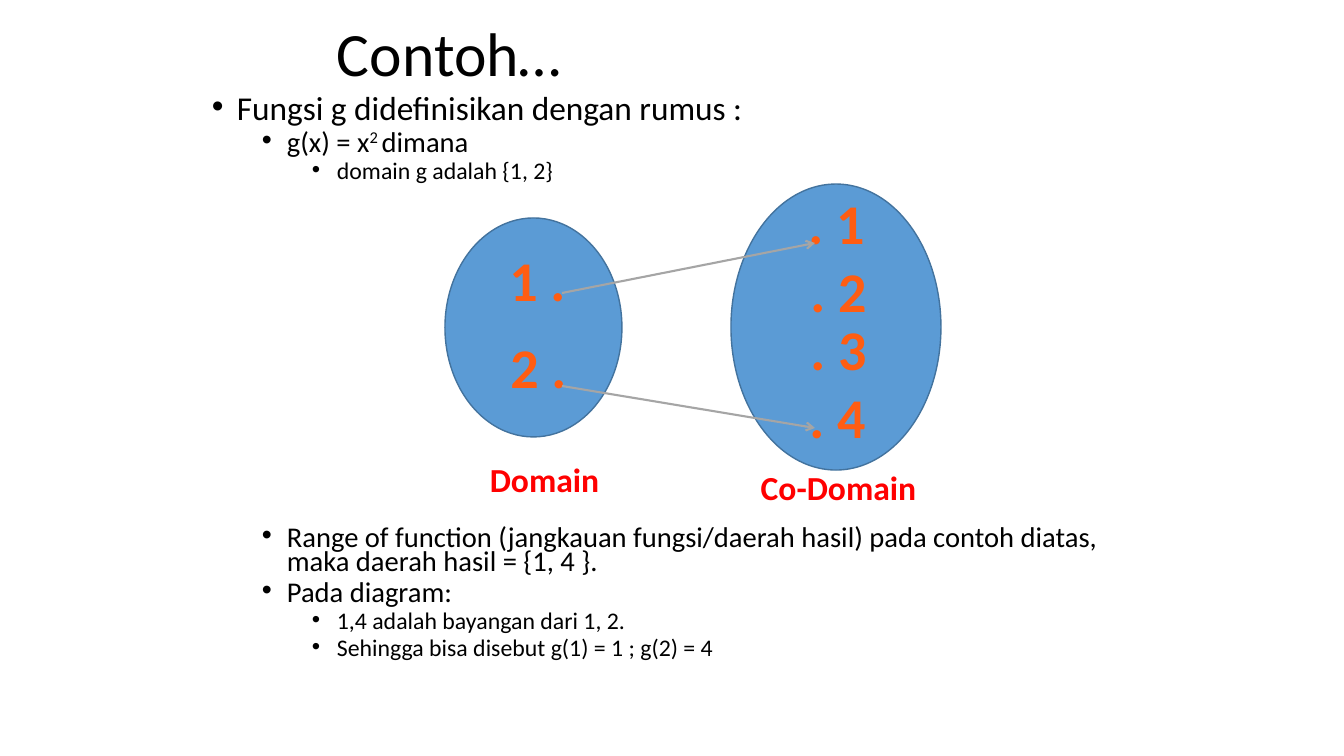
from lxml import etree
from pptx import Presentation
from pptx.dml.color import RGBColor
from pptx.enum.shapes import MSO_CONNECTOR, MSO_SHAPE
from pptx.enum.text import MSO_ANCHOR, PP_ALIGN
from pptx.oxml.ns import qn
from pptx.util import Emu, Pt

OVAL, STRAIGHT = MSO_SHAPE.OVAL, MSO_CONNECTOR.STRAIGHT
TOP, MIDDLE = MSO_ANCHOR.TOP, MSO_ANCHOR.MIDDLE
LEFT, CENTER = PP_ALIGN.LEFT, PP_ALIGN.CENTER

FONT = "Calibri"
COLORS = {"text": "000000", "oval": "5B9BD5", "outline": "43739E",
          "member": "FF5D12", "caption": "FF0000", "arrow": "A5A5A5"}

# Boxes are (left, top, width, height) in px; "^" marks the superscript part
TITLE = ("Contoh…", (327, 17, 827, 79))
OUTLINES = [
    ((202, 93, 958, 96), [
        (0, "Fungsi g didefinisikan dengan rumus :"),
        (1, "g(x) = x^2 ^dimana"),
        (2, "domain g adalah {1, 2}"),
    ]),
    ((202, 523, 958, 157), [
        (1, "Range of function (jangkauan fungsi/daerah hasil) pada contoh diatas, "
            "maka daerah hasil = {1, 4 }."),
        (1, "Pada diagram:"),
        (2, "1,4 adalah bayangan dari 1, 2."),
        (2, "Sehingga bisa disebut g(1) = 1 ; g(2) = 4"),
    ]),
]
LEVEL_SIZES = [23.8, 20.4, 17]
LEVEL_SPACES = [10, 5, 5]
INDENT, LEVEL_STEP = 25, 50

SETS = [
    {"oval": (445, 218, 177, 219), "caption": ("Domain", (479, 454, 131, 50)),
     "members": [("1 .", 499, 241), ("2 .", 500, 328)]},
    {"oval": (731, 184, 210, 286), "caption": ("Co-Domain", (750, 462, 177, 50)),
     "members": [(". 1", 798, 184), (". 2", 800, 252),
                 (". 3", 800, 310), (". 4", 799, 378)]},
]
MEMBER_SIZE = (77, 78)
MAPPINGS = [((562, 293), (815, 243)), ((562, 386), (815, 428))]


def px(length):
    return Emu(round(length * 914400 / 100.8))


def emus(lengths):
    return [px(length) for length in lengths]


def color(name):
    return RGBColor.from_string(COLORS[name])


def add_bullet(paragraph, level):
    properties = paragraph._p.get_or_add_pPr()
    properties.set("marL", str(px(INDENT + LEVEL_STEP * level)))
    properties.set("indent", str(-px(INDENT)))
    etree.SubElement(properties, qn("a:buFont")).set("typeface", "Arial")
    etree.SubElement(properties, qn("a:buChar")).set("char", "•")


def add_text(text, box, *, size, ink="text", bold=False, align=LEFT,
             anchor=TOP, wrap=True, spacing=1.0):
    """Text is one string, or a list of (level, string) bullets."""
    frame = slide.shapes.add_textbox(*emus(box)).text_frame
    frame.word_wrap, frame.vertical_anchor = wrap, anchor
    bulleted = not isinstance(text, str)
    for index, (level, line) in enumerate(text if bulleted else [(0, text)]):
        paragraph = frame.add_paragraph() if index else frame.paragraphs[0]
        paragraph.alignment, paragraph.line_spacing = align, spacing
        if bulleted:
            paragraph.level = level
            if index:
                paragraph.space_before = Pt(LEVEL_SPACES[level])
            add_bullet(paragraph, level)
        for part, piece in enumerate(line.split("^")):
            run = paragraph.add_run()
            run.text = piece
            run.font.name, run.font.bold = FONT, bold
            run.font.size = Pt(LEVEL_SIZES[level] if bulleted else size)
            run.font.color.rgb = color(ink)
            if part % 2:
                run._r.get_or_add_rPr().set("baseline", "30000")


def add_oval(box):
    oval = slide.shapes.add_shape(OVAL, *emus(box))
    oval.shadow.inherit = False
    oval.fill.solid()
    oval.fill.fore_color.rgb = color("oval")
    oval.line.color.rgb = color("outline")
    oval.line.width = Pt(1)


def add_arrow(start, end):
    arrow = slide.shapes.add_connector(STRAIGHT, *emus(start + end))
    arrow.line.color.rgb = color("arrow")
    arrow.line.width = Pt(1.5)
    etree.SubElement(arrow.line._get_or_add_ln(), qn("a:tailEnd")).set("type", "arrow")
    etree.SubElement(arrow._element.spPr, qn("a:effectLst"))


presentation = Presentation()
presentation.slide_width, presentation.slide_height = emus((1344, 756))
slide = presentation.slides.add_slide(presentation.slide_layouts[6])

title, title_box = TITLE
add_text(title, title_box, size=44, anchor=MIDDLE, spacing=0.9)
for outline_box, bullets in OUTLINES:
    add_text(bullets, outline_box, size=None, spacing=0.7)
for number_set in SETS:
    add_oval(number_set["oval"])
    for member, left, top in number_set["members"]:
        add_text(member, (left, top, *MEMBER_SIZE), size=40, ink="member",
                 bold=True, align=CENTER, wrap=False)
    caption, caption_box = number_set["caption"]
    add_text(caption, caption_box, size=24, ink="caption", bold=True,
             align=CENTER, wrap=False)
for start, end in MAPPINGS:
    add_arrow(start, end)

presentation.save("out.pptx")
